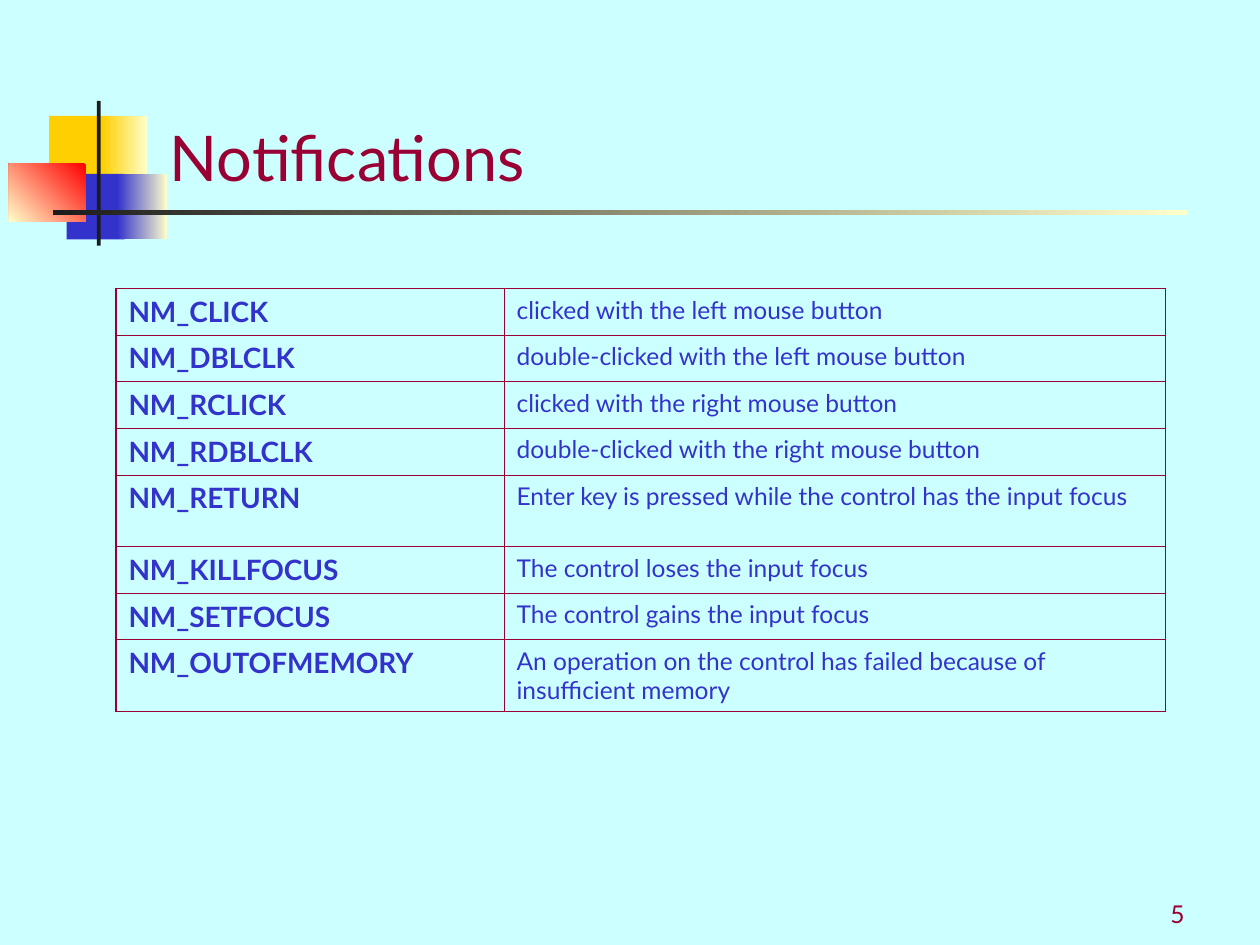
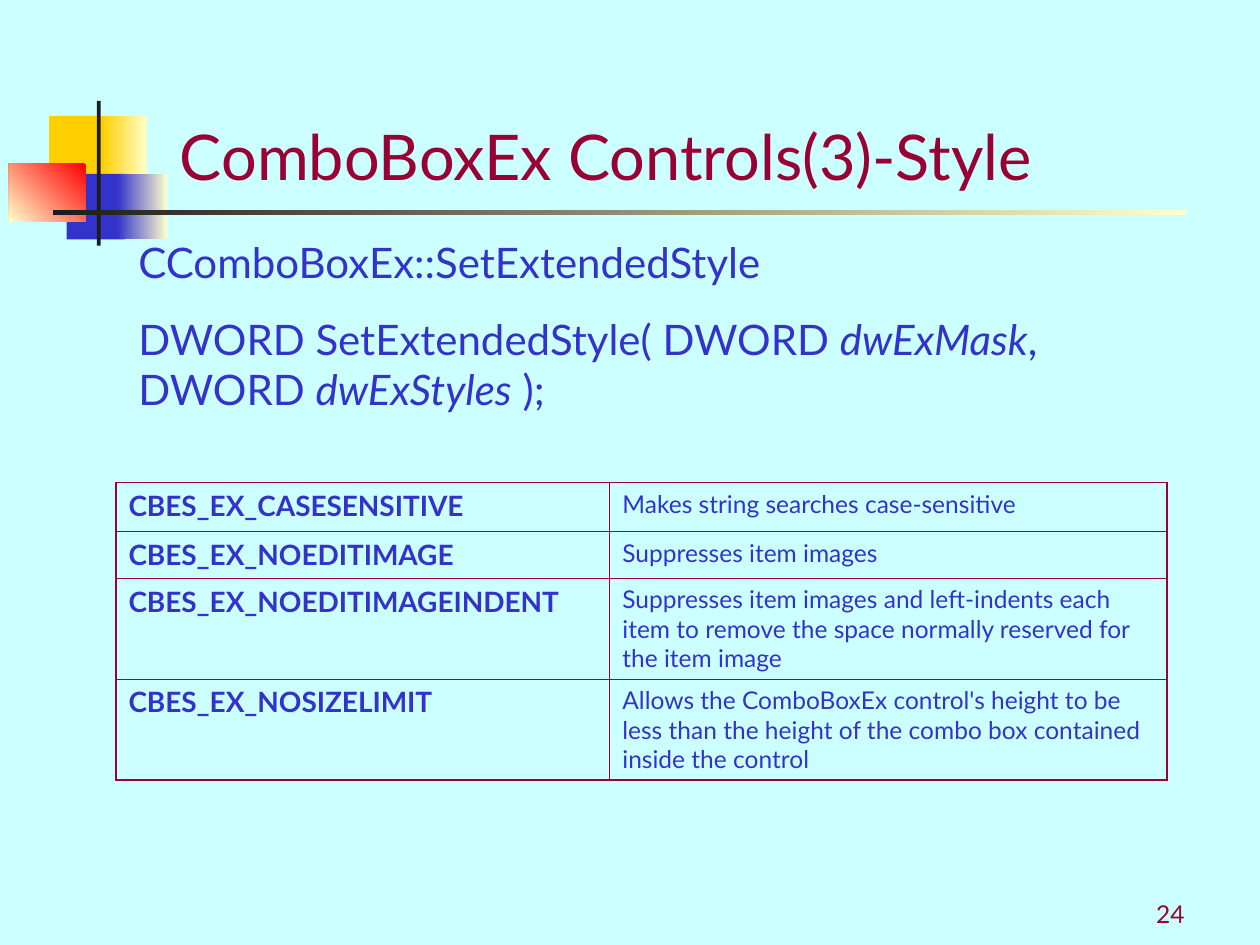
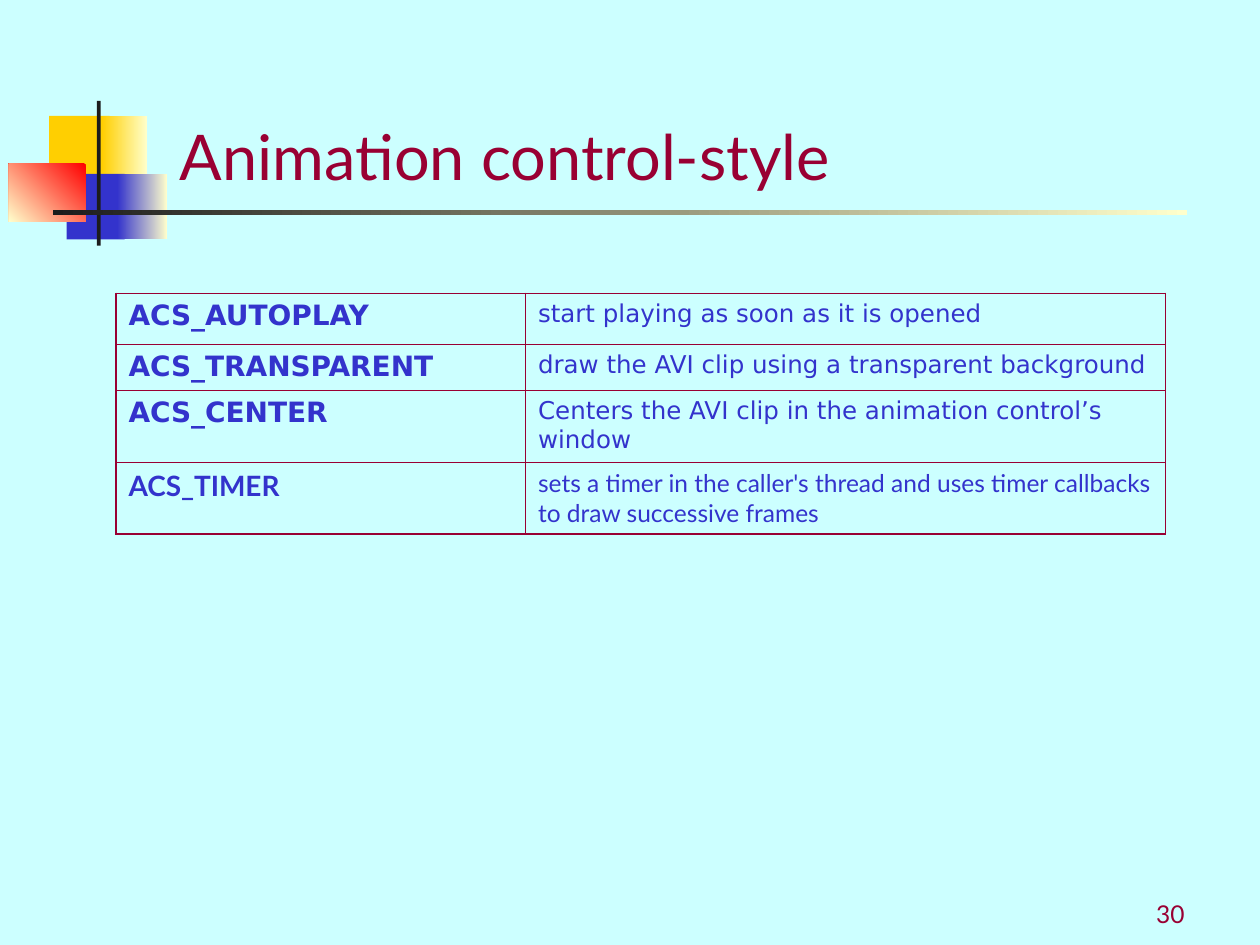
from lxml import etree
from pptx import Presentation
from pptx import util as u
from pptx.dml.color import RGBColor
from pptx.enum import shapes, text
from pptx.oxml import ns

COLORS = {
    "page": "CCFFFF",
    "title": "990033",
    "body": "3333CC",
    "yellow": "FFCF01",
    "cream": "FFFFCC",
    "red": "FF0000",
    "ink": "1C1C1C",
}
FONT = "Lato"
WIDE_FONT = "DejaVu Sans"
TITLE_BOX = (1.33, 0.83, 7.58, 0.75)
NUMBER_BOX = (7.42, 6.92, 2.08, 0.5)
TABLE_LEFT = 0.92
OUTER, INNER = 1.08, 0.45

EMBLEM = [
    ((0.39, 0.92, 0.48, 0.52), ["yellow"], 0),
    ((0.81, 0.92, 0.36, 0.52), ["cream", "yellow"], 180),
    ((0.53, 1.38, 0.46, 0.52), ["body"], 0),
    ((0.93, 1.38, 0.4, 0.52), ["cream", "body"], 180),
    ((0.07, 1.3, 0.61, 0.46), ["red", "cream"], 225),
    ((0.77, 0.8, 0.03, 1.15), ["ink"], 0),
    ((0.42, 1.67, 9, 0.04), ["cream", "ink"], 180),
]

NOTIFICATIONS = [
    ("NM_CLICK", "clicked with the left mouse button", 0.37),
    ("NM_DBLCLK", "double-clicked with the left mouse button", 0.37),
    ("NM_RCLICK", "clicked with the right mouse button", 0.37),
    ("NM_RDBLCLK", "double-clicked with the right mouse button", 0.37),
    ("NM_RETURN", "Enter key is pressed while the control has the input focus", 0.57),
    ("NM_KILLFOCUS", "The control loses the input focus", 0.37),
    ("NM_SETFOCUS", "The control gains the input focus", 0.37),
    ("NM_OUTOFMEMORY", "An operation on the control has failed because of insufficient memory", 0.57),
]

COMBO_STYLES = [
    ("CBES_EX_CASESENSITIVE", "Makes string searches case-sensitive", 0.39),
    ("CBES_EX_NOEDITIMAGE", "Suppresses item images", 0.37),
    ("CBES_EX_NOEDITIMAGEINDENT", "Suppresses item images and left-indents each item "
     "to remove the space normally reserved for the item image", 0.8),
    ("CBES_EX_NOSIZELIMIT", "Allows the ComboBoxEx control's height to be less than "
     "the height of the combo box contained inside the control", 0.8),
]

ANIMATION_STYLES = [
    ("ACS_AUTOPLAY", "start playing as soon as it is opened", 0.4, WIDE_FONT),
    ("ACS_TRANSPARENT", "draw the AVI clip using a transparent background", 0.37, WIDE_FONT),
    ("ACS_CENTER", "Centers the AVI clip in the animation control’s window", 0.57, WIDE_FONT),
    ("ACS_TIMER", "sets a timer in the caller's thread and uses timer callbacks "
     "to draw successive frames", 0.57),
]

SIGNATURE = [
    ("DWORD SetExtendedStyle( DWORD ", False),
    ("dwExMask", True),
    (", DWORD ", False),
    ("dwExStyles", True),
    (" );", False),
]


def rgb(name):
    return RGBColor.from_string(COLORS[name])


def inches(box):
    return [u.Inches(length) for length in box]


def write(para, words, size=14, color="body", font=FONT, bold=False, italic=False):
    span = para.add_run()
    span.text = words
    span.font.size = u.Pt(size)
    span.font.name = font
    span.font.bold = bold
    span.font.italic = italic
    span.font.color.rgb = rgb(color)


def add_frame(page, box, anchor):
    frame = page.shapes.add_textbox(*inches(box)).text_frame
    frame.word_wrap = True
    frame.vertical_anchor = anchor
    return frame


def add_emblem(page):
    for box, names, angle in EMBLEM:
        block = page.shapes.add_shape(shapes.MSO_SHAPE.RECTANGLE, *inches(box))
        block.shadow.inherit = False
        block.line.fill.background()
        if len(names) == 1:
            block.fill.solid()
            block.fill.fore_color.rgb = rgb(names[0])
        else:
            block.fill.gradient()
            block.fill.gradient_angle = angle
            for stop, name, position in zip(block.fill.gradient_stops, names, (0, 1)):
                stop.color.rgb = rgb(name)
                stop.position = position


def add_page(deck, title, number, title_box=TITLE_BOX):
    page = deck.slides.add_slide(deck.slide_layouts[6])
    add_emblem(page)
    heading = add_frame(page, title_box, text.MSO_ANCHOR.BOTTOM)
    write(heading.paragraphs[0], title, size=36, color="title")
    footer = add_frame(page, NUMBER_BOX, text.MSO_ANCHOR.BOTTOM)
    footer.paragraphs[0].alignment = text.PP_ALIGN.RIGHT
    write(footer.paragraphs[0], str(number), color="title")
    return page


def set_border(cell, side, width):
    properties = cell._tc.get_or_add_tcPr()
    line = etree.SubElement(properties, ns.qn(f"a:ln{side}"), w=str(u.Pt(width)))
    fill = etree.SubElement(line, ns.qn("a:solidFill"))
    etree.SubElement(fill, ns.qn("a:srgbClr"), val=COLORS["title"])


def add_definitions(page, top, widths, rows):
    heights = [row[2] for row in rows]
    box = (TABLE_LEFT, top, sum(widths), sum(heights))
    table = page.shapes.add_table(len(rows), len(widths), *inches(box)).table
    table.first_row = table.horz_banding = False
    for column, width in zip(table.columns, widths):
        column.width = u.Inches(width)
    for index, (term, meaning, height, *font) in enumerate(rows):
        table.rows[index].height = u.Inches(height)
        face = font[0] if font else FONT
        term_cell, meaning_cell = table.rows[index].cells
        write(term_cell.text_frame.paragraphs[0], term, size=16, font=face, bold=True)
        write(meaning_cell.text_frame.paragraphs[0], meaning, font=face)
        for cell in (term_cell, meaning_cell):
            edges = {
                "L": cell is term_cell,
                "R": cell is meaning_cell,
                "T": index == 0,
                "B": index == len(rows) - 1,
            }
            for side, is_outer in edges.items():
                set_border(cell, side, OUTER if is_outer else INNER)
            cell.fill.background()


def add_signature(page, box):
    frame = add_frame(page, box, text.MSO_ANCHOR.TOP)
    write(frame.paragraphs[0], "CComboBoxEx::SetExtendedStyle", size=24)
    para = frame.add_paragraph()
    para.space_before = u.Pt(15)
    for words, italic in SIGNATURE:
        write(para, words, size=24, italic=italic)


def main():
    deck = Presentation()
    deck.slide_width, deck.slide_height = u.Inches(10), u.Inches(7.5)
    backdrop = deck.slide_master.background.fill
    backdrop.solid()
    backdrop.fore_color.rgb = rgb("page")

    page = add_page(deck, "Notifications", 5, title_box=(1.25, 0.92, 8.52, 0.67))
    add_definitions(page, 2.29, (3.08, 5.25), NOTIFICATIONS)

    page = add_page(deck, "ComboBoxEx Controls(3)-Style", 24)
    add_signature(page, (1, 1.83, 8.25, 1.51))
    add_definitions(page, 3.83, (3.92, 4.42), COMBO_STYLES)

    page = add_page(deck, "Animation control-style", 30)
    add_definitions(page, 2.33, (3.25, 5.08), ANIMATION_STYLES)

    deck.save("out.pptx")


if __name__ == "__main__":
    main()
